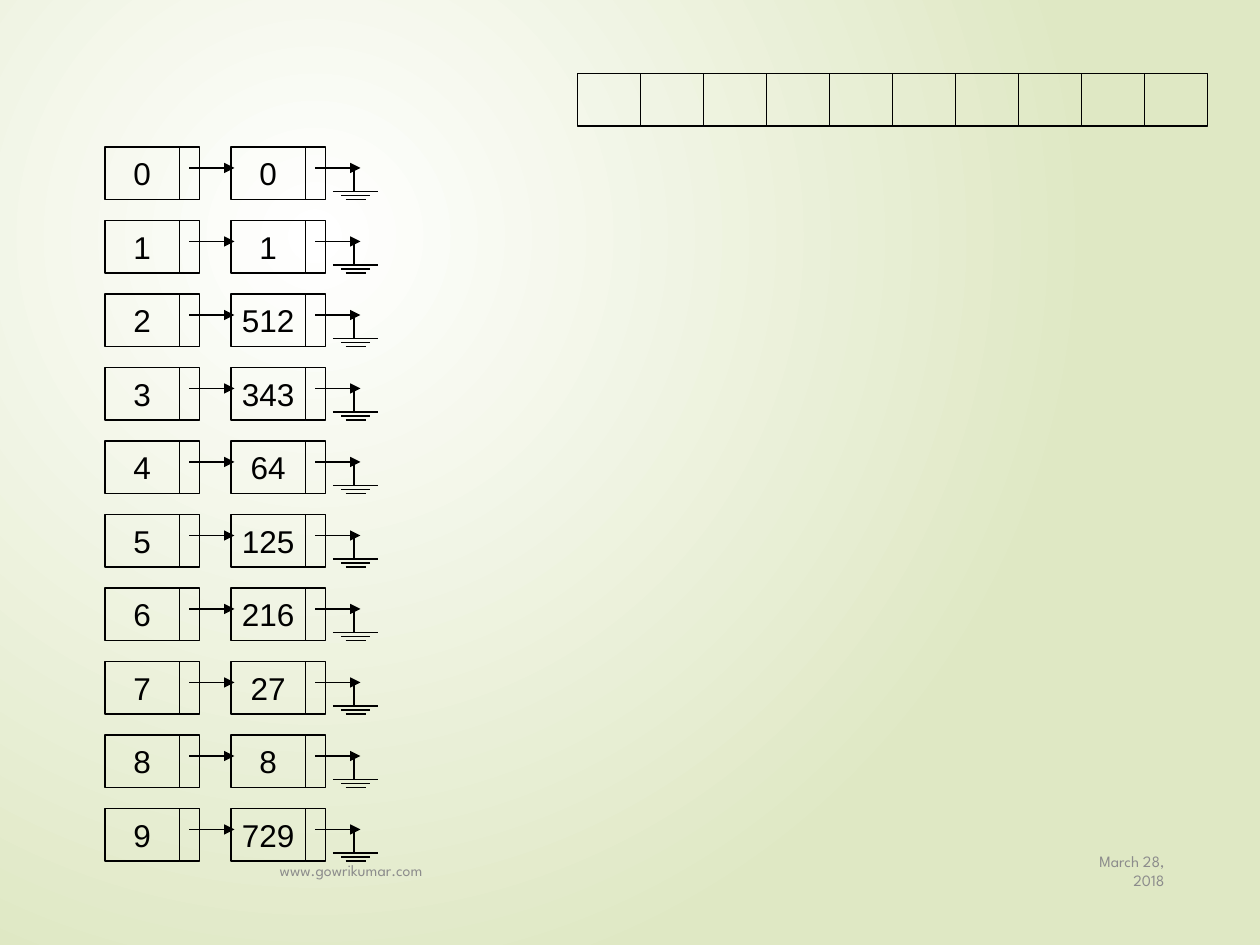
"""Build a slide of ten sorting buckets, each linked to one number."""
from lxml import etree
from pptx import Presentation
from pptx import util as u
from pptx.dml import color as dml
from pptx.enum import shapes, text
from pptx.oxml import ns

Pt = u.Pt
HEX = {"ink": "000000", "gray": "8C8C8C", "white": "FFFFFF", "green": "DFE8C4"}
RGB = {name: dml.RGBColor.from_string(code) for name, code in HEX.items()}
ALIGN = text.PP_ALIGN


def box(host, label, spot, size=18, font="Arial", tint="ink",
        align=ALIGN.CENTER, wrap=False, edge=True):
    area = [Pt(n) for n in spot]
    if edge:
        shape = host.add_shape(shapes.MSO_SHAPE.RECTANGLE, *area)
        shape.shadow.inherit = False
        shape.fill.background()
        shape.line.color.rgb = RGB["ink"]
        shape.line.width = Pt(0.75)
    else:
        shape = host.add_textbox(*area)
    if label:
        frame = shape.text_frame
        frame.word_wrap = wrap
        frame.vertical_anchor = text.MSO_ANCHOR.MIDDLE
        para = frame.paragraphs[0]
        para.alignment = align
        run = para.add_run()
        run.text = label
        run.font.size = Pt(size)
        run.font.name = font
        run.font.color.rgb = RGB[tint]


def line(host, ends, arrow=False):
    link = host.add_connector(shapes.MSO_CONNECTOR.STRAIGHT, *[Pt(n) for n in ends])
    link.line.color.rgb = RGB["ink"]
    link.line.width = Pt(0.75)
    props = link.element.spPr
    if arrow:
        etree.SubElement(props.find(ns.qn("a:ln")), ns.qn("a:tailEnd"), type="triangle")
    etree.SubElement(props, ns.qn("a:effectLst"))


deck = Presentation()
deck.slide_width, deck.slide_height = Pt(720), Pt(540)
slide = deck.slides.add_slide(deck.slide_layouts[6])
page = slide.shapes

fill = slide.background.fill
fill.gradient()
for stop, name, place in zip(fill.gradient_stops, ("white", "green"), (0, 1)):
    stop.color.rgb = RGB[name]
    stop.position = place
grad = slide.element.find(".//" + ns.qn("a:gradFill"))
grad.remove(grad.find(ns.qn("a:lin")))
glow = etree.SubElement(grad, ns.qn("a:path"), path="circle")
etree.SubElement(glow, ns.qn("a:fillToRect"), l="50000", t="50000", r="100000", b="100000")

foot = dict(size=9, font="League Spartan", tint="gray", wrap=True, edge=False)
box(page, "March 28, 2018", (612, 483, 60.5, 28.75), align=ALIGN.RIGHT, **foot)
box(page, "www.gowrikumar.com", (152.75, 483, 450, 28.75), align=ALIGN.LEFT, **foot)

for col in range(10):
    box(page, "", (330 + 36 * col, 42, 36, 30))

values = [0, 1, 512, 343, 64, 125, 216, 27, 8, 729]
for row, value in enumerate(values):
    top = 84 + 42 * row
    mid = top + 12
    for left, label in ((60, row), (132, value)):
        node = page.add_group_shape().shapes
        box(node, str(label), (left, top, 42.5, 30))
        box(node, "", (left + 42.5, top, 11.5, 30))
        host = page if left == 60 else node
        line(host, (left + 48, mid, left + 74, mid), arrow=True)
    for half, drop in ((13, 25.5), (8.25, 27.75), (5.75, 30)):
        line(node, (203.25 - half, top + drop, 203.25 + half, top + drop))
    line(node, (202.25, top + 25.5, 202.25, mid))

deck.save("out.pptx")
